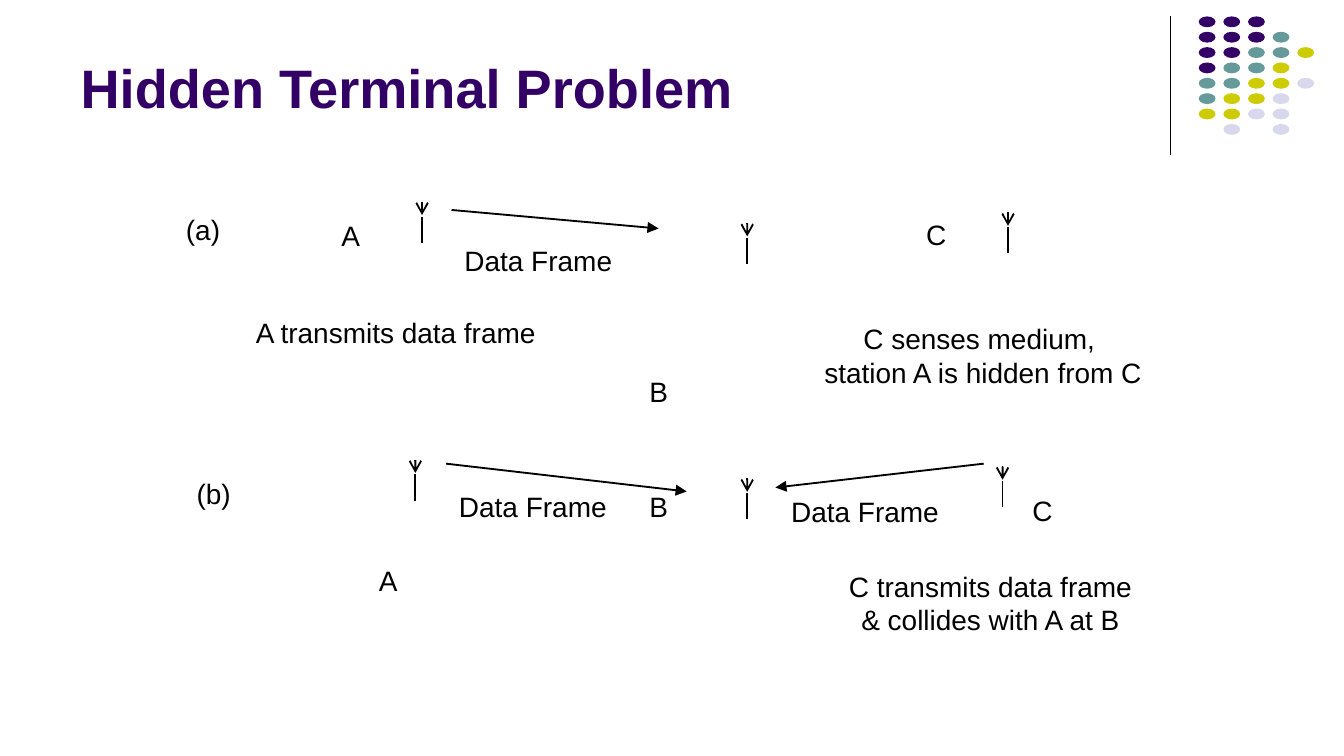
import pptx
import pptx.dml.color
import pptx.enum.shapes
import pptx.enum.text
import pptx.oxml.ns
import pptx.util
from lxml import etree

Pt = pptx.util.Pt
SHAPES = pptx.enum.shapes.MSO_SHAPE
CONNECTOR = pptx.enum.shapes.MSO_CONNECTOR
ALIGN = pptx.enum.text.PP_ALIGN
ANCHOR = pptx.enum.text.MSO_ANCHOR
AUTO_SIZE = pptx.enum.text.MSO_AUTO_SIZE

BLACK = "000000"
PURPLE = "330066"
DOT_COLOURS = {"P": PURPLE, "T": "669999", "Y": "CCCC00", "L": "D8D8EC"}
DOT_ROWS = ["PPP", "PPPT", "PPTTY", "PTTY", "TTYYL", "TYYL", "YYLL", ".L.L"]

ANTENNAS = [
    (226.1, 108), (400.3, 119.5), (540, 113.8),
    (222.5, 246.2), (400.3, 256.3), (537.1, 249.8),
]
FRAME_ARROWS = [
    (241.9, 112.5, 352.8, 122.4),
    (239, 248.4, 367.9, 263.3),
    (527, 248.4, 415.4, 261.2),
]
LABELS = [
    ("(a)", 92.2, 110.2, 33.1),
    ("A", 175.7, 113.4, 24.5),
    ("C", 488.9, 112.7, 25.2),
    ("Data Frame", 241.2, 126.7, 94.3),
    ("A transmits data frame", 128.9, 165.6, 166.3),
    ("B", 340.6, 197.3, 24.5),
    ("(b)", 97.9, 251.5, 33.1),
    ("Data Frame", 238.3, 258.5, 94.3),
    ("B", 340.6, 258.5, 24.5),
    ("Data Frame", 416.2, 261.4, 94.3),
    ("C", 545.8, 260.6, 25.2),
    ("A", 195.8, 298.1, 24.5),
]
CAPTIONS = [
    ("C senses medium, \nstation A is hidden from C", 434.2, 168.5, 185),
    ("C transmits data frame & collides with A at B", 442.1, 301, 177.1),
]


def colour(value):
    return pptx.dml.color.RGBColor.from_string(value)


def format_text(frame, text, size=15, fill=BLACK, bold=False,
                align=ALIGN.CENTER, anchor=ANCHOR.MIDDLE, wrap=False,
                auto_size=AUTO_SIZE.SHAPE_TO_FIT_TEXT):
    frame.text = text
    frame.word_wrap = wrap
    frame.auto_size = auto_size
    frame.vertical_anchor = anchor
    for para in frame.paragraphs:
        para.alignment = align
        for span in para.runs:
            span.font.name = "Arial"
            span.font.size = Pt(size)
            span.font.bold = bold
            span.font.color.rgb = colour(fill)


def add_title(page, text):
    title = page.shapes.title
    title.left, title.top, title.width, title.height = Pt(36), Pt(7.2), Pt(594), Pt(60.5)
    format_text(title.text_frame, text, size=29, fill=PURPLE, bold=True, wrap=True,
                align=ALIGN.LEFT, anchor=ANCHOR.BOTTOM, auto_size=AUTO_SIZE.NONE)


def add_label(page, text, left, top, width, height=25.2, **text_format):
    box = page.shapes.add_textbox(Pt(left), Pt(top), Pt(width), Pt(height))
    format_text(box.text_frame, text, **text_format)


def add_line(page, x1, y1, x2, y2, width=1, arrowhead=None):
    line = page.shapes.add_connector(CONNECTOR.STRAIGHT, Pt(x1), Pt(y1), Pt(x2), Pt(y2))
    line.line.color.rgb = colour(BLACK)
    line.line.width = Pt(width)
    if arrowhead:
        outline = line.line._get_or_add_ln()
        etree.SubElement(outline, pptx.oxml.ns.qn("a:tailEnd"), type=arrowhead)
    etree.SubElement(line._element.spPr, pptx.oxml.ns.qn("a:effectLst"))


def add_antenna(page, x, top):
    add_line(page, x, top, x, top + 7.2, arrowhead="arrow")
    add_line(page, x, top + 8, x, top + 22)


def add_dot(page, left, top, fill):
    dot = page.shapes.add_shape(SHAPES.OVAL, Pt(left), Pt(top), Pt(9), Pt(5.8))
    dot.shadow.inherit = False
    dot.fill.solid()
    dot.fill.fore_color.rgb = colour(fill)
    dot.line.fill.background()


def add_dot_pattern(page):
    for row, codes in enumerate(DOT_ROWS):
        for column, code in enumerate(codes):
            if code in DOT_COLOURS:
                add_dot(page, 642.2 + 13.2 * column, 8.8 + 8.23 * row, DOT_COLOURS[code])


def main():
    deck = pptx.Presentation()
    deck.slide_width, deck.slide_height = Pt(720), Pt(405)
    page = deck.slides.add_slide(deck.slide_layouts[5])
    add_line(page, 627.1, 8.8, 627.1, 82.8, width=0.75)
    add_dot_pattern(page)
    add_title(page, "Hidden Terminal Problem")
    for antenna in ANTENNAS:
        add_antenna(page, *antenna)
    for arrow in FRAME_ARROWS:
        add_line(page, *arrow, arrowhead="triangle")
    for label in LABELS:
        add_label(page, *label)
    for caption in CAPTIONS:
        add_label(page, *caption, height=43.9, wrap=True)
    deck.save("out.pptx")


if __name__ == "__main__":
    main()
